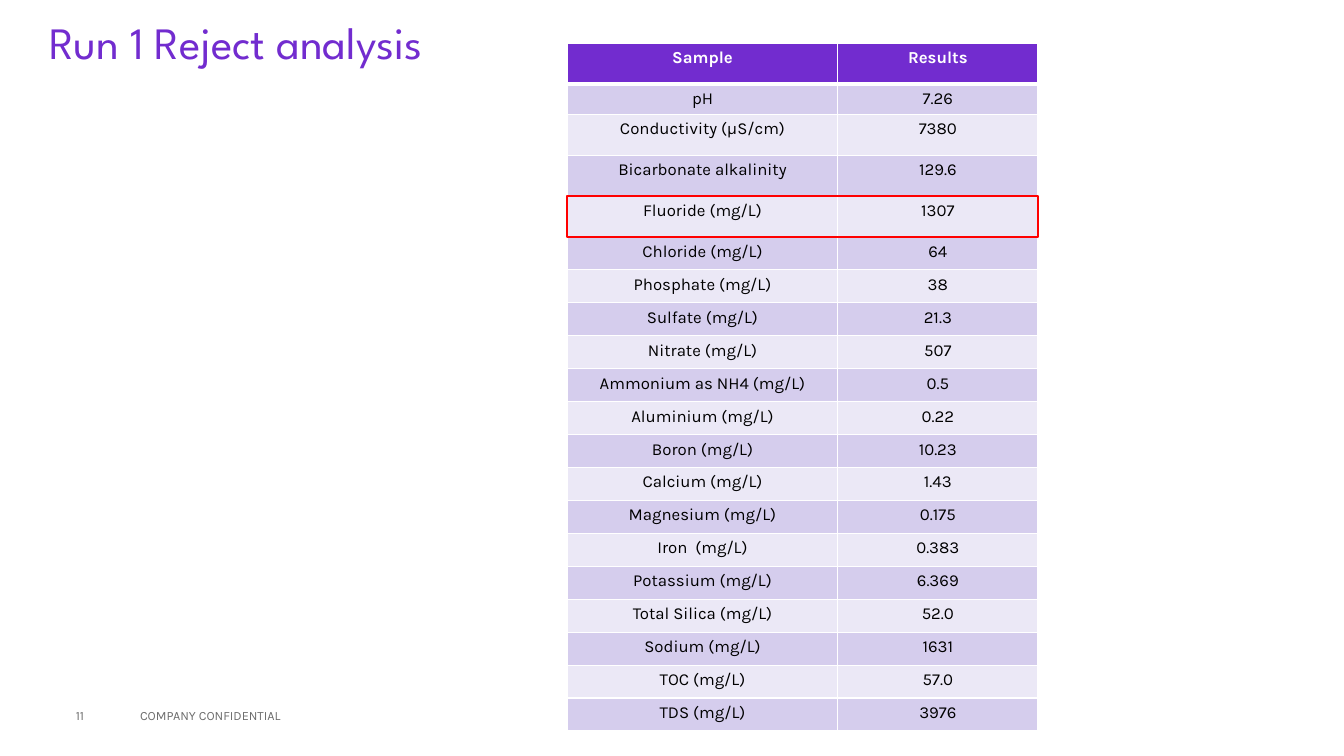
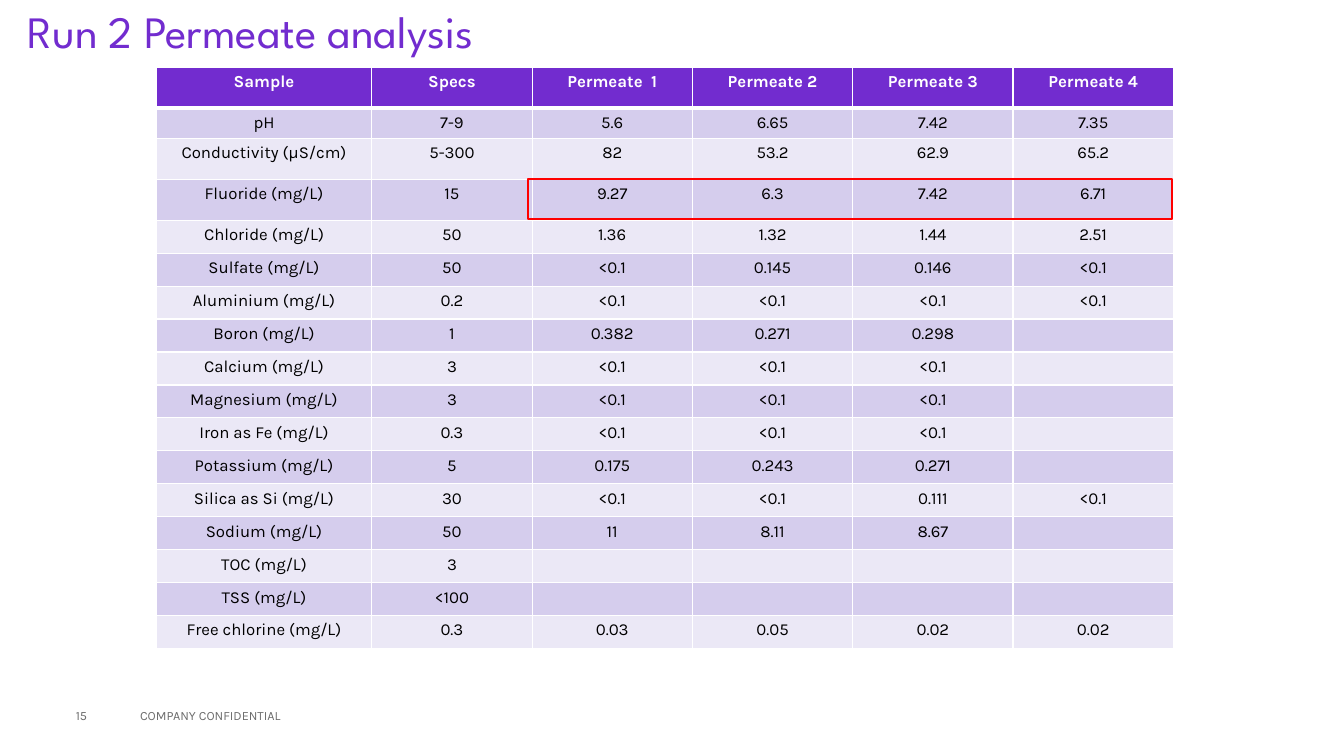
from dataclasses import dataclass

from lxml.etree import SubElement
from pptx import Presentation
from pptx.dml.color import RGBColor
from pptx.enum.shapes import MSO_SHAPE
from pptx.enum.text import MSO_ANCHOR as Anchor, MSO_AUTO_SIZE as AutoSize, PP_ALIGN as Align
from pptx.oxml.ns import qn
from pptx.util import Cm, Pt

COLORS = {
    "purple": "722CCF",
    "band_dark": "D5CDED",
    "band_light": "EBE8F6",
    "white": "FFFFFF",
    "black": "000000",
    "grey": "6C6C6C",
    "red": "FF0000",
}
TITLE_FONT = "League Spartan"
BODY_FONT = "Karla"
CELL_SIZE = 12
GRID_WIDTH = 1
HEADER_RULE_WIDTH = 3
ROW_HEIGHT = 0.83
TALL_ROW = 1.03
SPECIAL_HEIGHTS = {
    "Sample": TALL_ROW,
    "pH": 0.76,
    "Conductivity (µS/cm)": TALL_ROW,
    "Bicarbonate alkalinity": TALL_ROW,
    "Fluoride (mg/L)": TALL_ROW,
}
CONFIDENTIALITY = "COMPANY CONFIDENTIAL"


@dataclass(frozen=True)
class Box:
    left: float
    top: float
    width: float
    height: float

    def lengths(self) -> tuple:
        return Cm(self.left), Cm(self.top), Cm(self.width), Cm(self.height)


@dataclass(frozen=True)
class Analysis:
    title: str
    title_box: Box
    page: str
    left: float
    top: float
    widths: tuple
    rows: tuple
    highlight: Box


REJECT = Analysis(
    title="Run 1 Reject analysis",
    title_box=Box(1.24, 0.28, 30, 1.7),
    page="11",
    left=14.3,
    top=1.09,
    widths=(6.81, 5.05),
    rows=(
        ("Sample", "Results"),
        ("pH", "7.26"),
        ("Conductivity (µS/cm)", "7380"),
        ("Bicarbonate alkalinity", "129.6"),
        ("Fluoride (mg/L)", "1307"),
        ("Chloride (mg/L)", "64"),
        ("Phosphate (mg/L)", "38"),
        ("Sulfate (mg/L)", "21.3"),
        ("Nitrate (mg/L)", "507"),
        ("Ammonium as NH4 (mg/L)", "0.5"),
        ("Aluminium (mg/L)", "0.22"),
        ("Boron (mg/L)", "10.23"),
        ("Calcium (mg/L)", "1.43"),
        ("Magnesium (mg/L)", "0.175"),
        ("Iron  (mg/L)", "0.383"),
        ("Potassium (mg/L)", "6.369"),
        ("Total Silica (mg/L)", "52.0"),
        ("Sodium (mg/L)", "1631"),
        ("TOC (mg/L)", "57.0"),
        ("TDS (mg/L)", "3976"),
    ),
    highlight=Box(14.3, 4.94, 11.86, 1.03),
)

PERMEATE = Analysis(
    title="Run 2 Permeate analysis",
    title_box=Box(0.7, 0, 30, 1.7),
    page="15",
    left=3.94,
    top=1.7,
    widths=(5.43,) + (4.04,) * 5,
    rows=(
        ("Sample", "Specs", "Permeate  1", "Permeate 2", "Permeate 3", "Permeate 4"),
        ("pH", "7-9", "5.6", "6.65", "7.42", "7.35"),
        ("Conductivity (µS/cm)", "5-300", "82", "53.2", "62.9", "65.2"),
        ("Fluoride (mg/L)", "15", "9.27", "6.3", "7.42", "6.71"),
        ("Chloride (mg/L)", "50", "1.36", "1.32", "1.44", "2.51"),
        ("Sulfate (mg/L)", "50", "<0.1", "0.145", "0.146", "<0.1"),
        ("Aluminium (mg/L)", "0.2", "<0.1", "<0.1", "<0.1", "<0.1"),
        ("Boron (mg/L)", "1", "0.382", "0.271", "0.298", ""),
        ("Calcium (mg/L)", "3", "<0.1", "<0.1", "<0.1", ""),
        ("Magnesium (mg/L)", "3", "<0.1", "<0.1", "<0.1", ""),
        ("Iron as Fe (mg/L)", "0.3", "<0.1", "<0.1", "<0.1", ""),
        ("Potassium (mg/L)", "5", "0.175", "0.243", "0.271", ""),
        ("Silica as Si (mg/L)", "30", "<0.1", "<0.1", "0.111", "<0.1"),
        ("Sodium (mg/L)", "50", "11", "8.11", "8.67", ""),
        ("TOC (mg/L)", "3", "", "", "", ""),
        ("TSS (mg/L)", "<100", "", "", "", ""),
        ("Free chlorine (mg/L)", "0.3", "0.03", "0.05", "0.02", "0.02"),
    ),
    highlight=Box(13.31, 4.52, 16.23, 0.99),
)


def rgb(color: str) -> RGBColor:
    return RGBColor.from_string(COLORS[color])


def add_run(paragraph, text: str, size: int, color: str, font: str = BODY_FONT, bold: bool = False) -> None:
    run = paragraph.add_run()
    run.text = text
    run.font.name = font
    run.font.size = Pt(size)
    run.font.bold = bold
    run.font.color.rgb = rgb(color)


def set_frame(frame, flush_left: bool) -> None:
    frame.word_wrap = True
    frame.auto_size = AutoSize.NONE
    frame.vertical_anchor = Anchor.MIDDLE
    frame.margin_left = Cm(0 if flush_left else 0.25)


def draw_title(slide, text: str, box: Box) -> None:
    title = slide.shapes.title
    title.left, title.top, title.width, title.height = box.lengths()
    set_frame(title.text_frame, flush_left=True)
    paragraph = title.text_frame.paragraphs[0]
    paragraph.alignment = Align.LEFT
    paragraph.line_spacing = 0.9
    add_run(paragraph, text, 32, "purple", TITLE_FONT)


def draw_footer(slide, text: str, box: Box, flush_left: bool) -> None:
    footer = slide.shapes.add_textbox(*box.lengths()).text_frame
    set_frame(footer, flush_left)
    add_run(footer.paragraphs[0], text, 9, "grey")


def set_borders(cell, top: int, bottom: int) -> None:
    properties = cell._tc.get_or_add_tcPr()
    sides = {"a:lnL": GRID_WIDTH, "a:lnR": GRID_WIDTH, "a:lnT": top, "a:lnB": bottom}
    for position, (side, width) in enumerate(sides.items()):
        border = SubElement(properties, qn(side), w=str(Pt(width)))
        fill = SubElement(border, qn("a:solidFill"))
        SubElement(fill, qn("a:srgbClr"), val=COLORS["white"])
        properties.insert(position, border)


def fill_cell(cell, text: str, row: int) -> None:
    header = row == 0
    background = "purple" if header else ("band_light", "band_dark")[row % 2]
    cell.fill.solid()
    cell.fill.fore_color.rgb = rgb(background)
    set_borders(
        cell,
        top=HEADER_RULE_WIDTH if row == 1 else GRID_WIDTH,
        bottom=HEADER_RULE_WIDTH if header else GRID_WIDTH,
    )
    paragraph = cell.text_frame.paragraphs[0]
    paragraph.alignment = Align.CENTER
    if text:
        add_run(paragraph, text, CELL_SIZE, "white" if header else "black", bold=header)
    else:
        SubElement(paragraph._p, qn("a:endParaRPr"), sz=str(CELL_SIZE * 100))


def draw_results(slide, analysis: Analysis) -> None:
    heights = [SPECIAL_HEIGHTS.get(values[0], ROW_HEIGHT) for values in analysis.rows]
    box = Box(analysis.left, analysis.top, sum(analysis.widths), sum(heights))
    results = slide.shapes.add_table(len(heights), len(analysis.widths), *box.lengths()).table
    results.horz_banding = False
    for column, width in zip(results.columns, analysis.widths):
        column.width = Cm(width)
    for row, (values, height) in enumerate(zip(analysis.rows, heights)):
        results.rows[row].height = Cm(height)
        for column, text in enumerate(values):
            fill_cell(results.cell(row, column), text, row)


def draw_highlight(slide, box: Box) -> None:
    highlight = slide.shapes.add_shape(MSO_SHAPE.RECTANGLE, *box.lengths())
    highlight.shadow.inherit = False
    highlight.fill.background()
    highlight.line.color.rgb = rgb("red")
    highlight.line.width = Pt(1.5)


def draw_analysis(deck, analysis: Analysis) -> None:
    slide = deck.slides.add_slide(deck.slide_layouts.get_by_name("Title Only"))
    draw_title(slide, analysis.title, analysis.title_box)
    draw_footer(slide, CONFIDENTIALITY, Box(3.28, 17.53, 11.43, 1.02), flush_left=False)
    draw_footer(slide, analysis.page, Box(1.91, 17.53, 1.37, 1.02), flush_left=True)
    draw_results(slide, analysis)
    draw_highlight(slide, analysis.highlight)


def main() -> None:
    deck = Presentation()
    deck.slide_width = Cm(33.87)
    deck.slide_height = Cm(19.05)
    for analysis in (REJECT, PERMEATE):
        draw_analysis(deck, analysis)
    deck.save("out.pptx")


if __name__ == "__main__":
    main()
